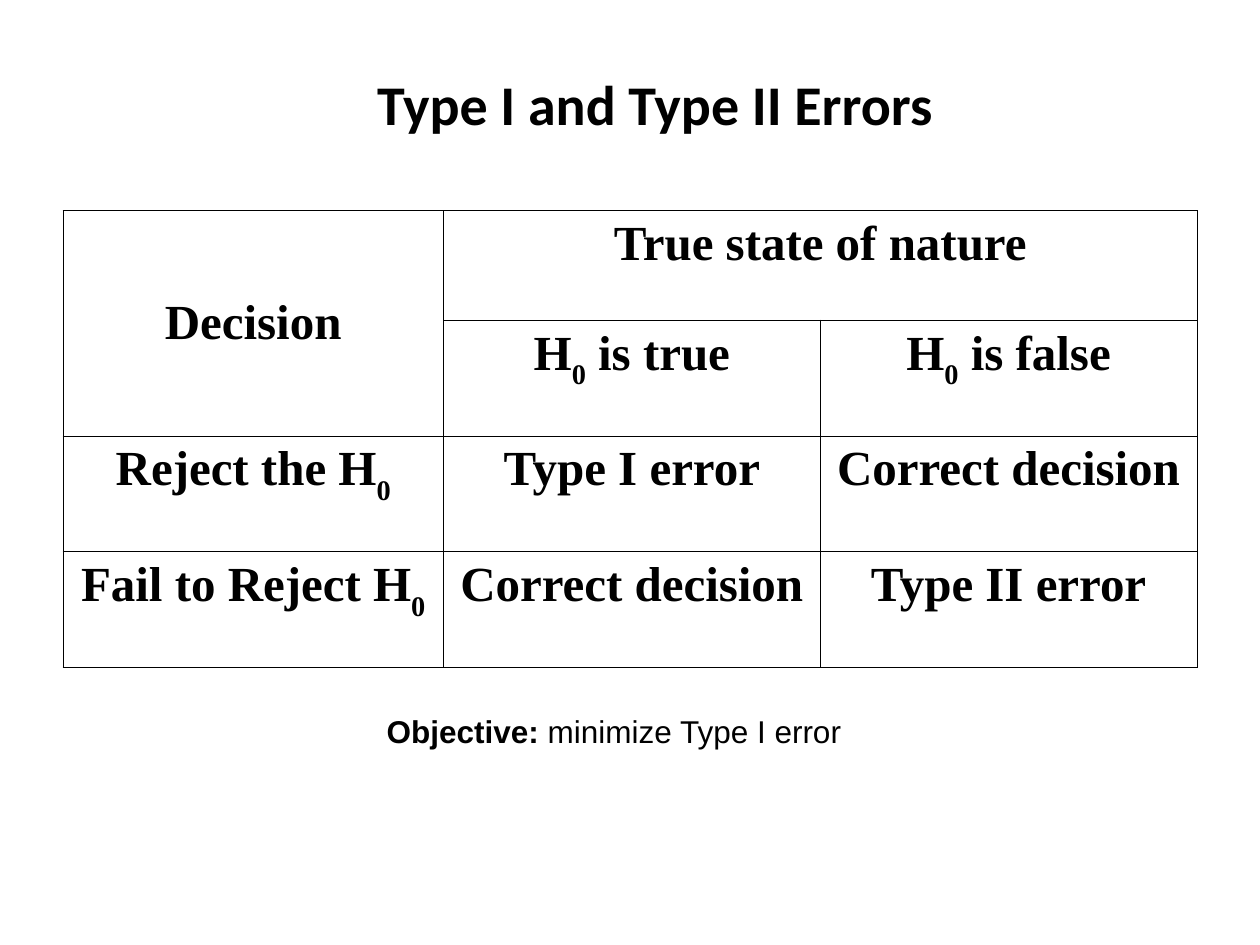
import pptx
import pptx.dml.color
import pptx.enum.text
import pptx.oxml
import pptx.oxml.ns
import pptx.util

Inches = pptx.util.Inches
Pt = pptx.util.Pt
CENTER = pptx.enum.text.PP_ALIGN.CENTER
ANCHOR = pptx.enum.text.MSO_ANCHOR
BLACK = "000000"

ROWS = [
    ["Decision", "True state of nature", None],
    [None, "H_0 is true", "H_0 is false"],
    ["Reject the H_0", "Type I error", "Correct decision"],
    ["Fail to Reject H_0", "Correct decision", "Type II error"],
]
COL_WIDTHS = [3.02, 2.99, 2.99]
ROW_HEIGHTS = [0.87, 0.92, 0.92, 0.92]


def rgb(value):
    return pptx.dml.color.RGBColor.from_string(value)


def set_font(font, name, size, bold):
    font.name = name
    font.size = Pt(size)
    font.bold = bold
    font.color.rgb = rgb(BLACK)


def set_borders(cell, color, width):
    tc_pr = cell._tc.get_or_add_tcPr()
    for side in ("lnL", "lnR", "lnT", "lnB"):
        tc_pr.append(pptx.oxml.parse_xml(
            f'<a:{side} {pptx.oxml.ns.nsdecls("a")} w="{Pt(width)}"><a:solidFill>'
            f'<a:srgbClr val="{color}"/></a:solidFill></a:{side}>'))


def add_subscripted(p, text):
    base, mark, rest = text.partition("_0")
    p.add_run().text = base
    if mark:
        r = p.add_run()
        r.text = "0"
        r.font._element.set("baseline", "-30000")
    if rest:
        p.add_run().text = rest


def add_title(s, left, top, width, height):
    sp = s.shapes.title
    sp.left, sp.top, sp.width, sp.height = map(Inches, (left, top, width, height))
    tf = sp.text_frame
    tf.vertical_anchor = ANCHOR.TOP
    tf.margin_left = Inches(0.5)
    tf.margin_top = Inches(0.25)
    tf.text = "Type I and Type II Errors"
    p = tf.paragraphs[0]
    p.alignment = CENTER
    set_font(p.font, "Calibri", 32, True)


def add_decision_table(s, left, top, width, height):
    table = s.shapes.add_table(
        len(ROWS), len(COL_WIDTHS), *map(Inches, (left, top, width, height))).table
    table.first_row = table.horz_banding = False
    for column, w in zip(table.columns, COL_WIDTHS):
        column.width = Inches(w)
    for row, h in zip(table.rows, ROW_HEIGHTS):
        row.height = Inches(h)
    for i, texts in enumerate(ROWS):
        for j, text in enumerate(texts):
            cell = table.cell(i, j)
            set_borders(cell, BLACK, 0.45)
            cell.fill.background()
            if text:
                p = cell.text_frame.paragraphs[0]
                add_subscripted(p, text)
                p.alignment = CENTER
                set_font(p.font, "Times New Roman", 28, True)
    table.cell(0, 0).merge(table.cell(1, 0))
    table.cell(0, 1).merge(table.cell(0, 2))
    table.cell(0, 0).vertical_anchor = ANCHOR.MIDDLE


def add_objective(s, left, top, width, height):
    tf = s.shapes.add_textbox(*map(Inches, (left, top, width, height))).text_frame
    tf.word_wrap = False
    tf.auto_size = pptx.enum.text.MSO_AUTO_SIZE.SHAPE_TO_FIT_TEXT
    p = tf.paragraphs[0]
    for text, bold in (("Objective: ", True), ("minimize Type I error", False)):
        r = p.add_run()
        r.text = text
        set_font(r.font, "Arial", 18, bold)


def main():
    prs = pptx.Presentation()
    prs.slide_width = Inches(10)
    prs.slide_height = Inches(7.5)
    s = prs.slides.add_slide(prs.slide_layouts.get_by_name("Title Only"))
    add_title(s, 0.5, 0.3, 9, 1.25)
    add_decision_table(s, 0.5, 1.67, sum(COL_WIDTHS), sum(ROW_HEIGHTS))
    add_objective(s, 2.97, 5.6, 3.82, 0.4)
    prs.save("out.pptx")


if __name__ == "__main__":
    main()
